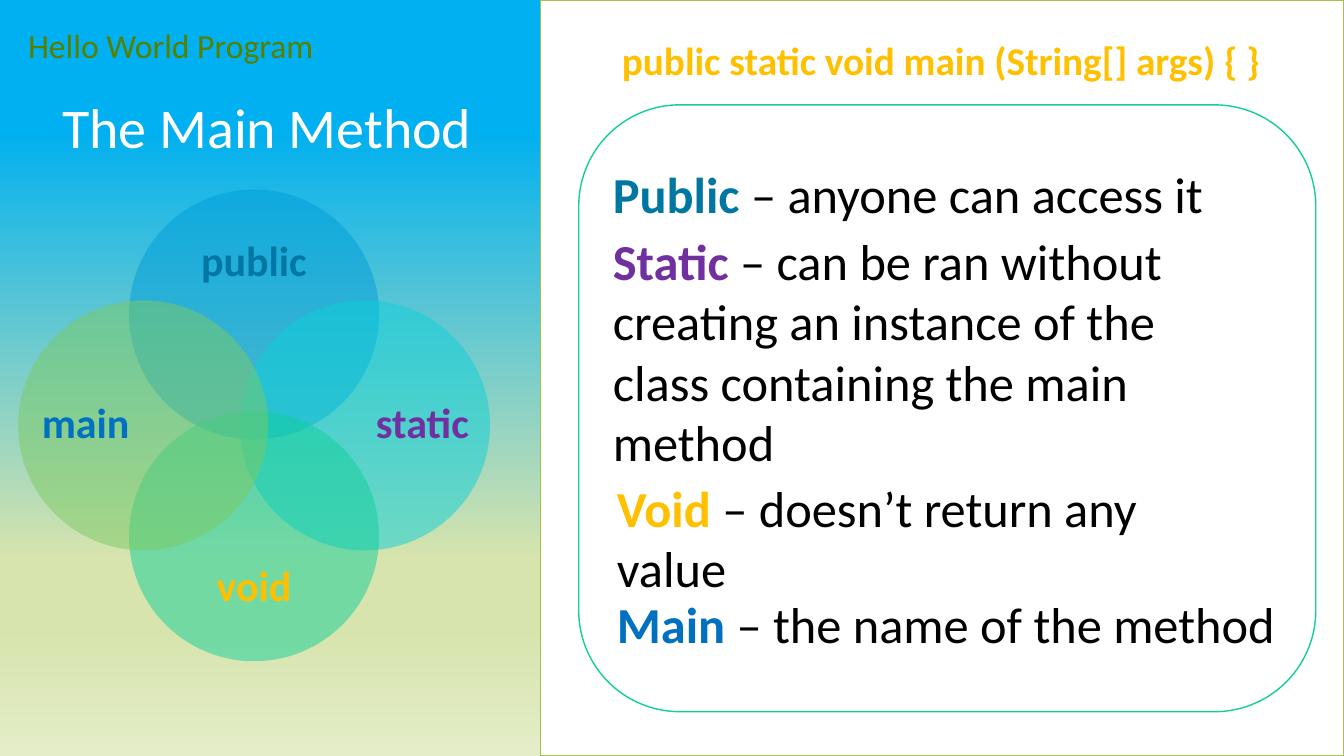
from lxml import etree
from pptx import Presentation
from pptx.dml.color import RGBColor
from pptx.enum import shapes, text
from pptx.oxml import parse_xml
from pptx.oxml.ns import nsdecls, qn
from pptx.util import Inches, Pt

COLORS = {
    "white": "FFFFFF", "black": "000000", "panel_line": "A5C249", "card_line": "10CF9B",
    "public": "0076A3", "static": "7030A0", "void": "FFC000", "main": "0070C0",
    "program": "578000", "blue": "009DD9", "cyan": "0BD0D9", "teal": "10CF9B",
    "green": "7CCA62", "sky": "00B0F0", "sand": "D7E4AD", "pale": "E4EDC8",
}
FONT = "Calibri"
BACKGROUND_STOPS = [(17, "sky"), (74, "sand"), (83, "sand"), (100, "pale")]

# preset, left, top, width, height, line colour
PANELS = [
    (shapes.MSO_SHAPE.RECTANGLE, 5.36, 0, 7.97, 7.5, "panel_line"),
    (shapes.MSO_SHAPE.ROUNDED_RECTANGLE, 5.74, 1.04, 7.31, 6.02, "card_line"),
]

# label, circle colour, direction from the centre
VENN = [
    ("public", "blue", (0, -1)),
    ("static", "cyan", (1, 0)),
    ("void", "teal", (0, 1)),
    ("main", "green", (-1, 0)),
]
VENN_CENTER = (2.52, 4.22)
DIAMETER, CIRCLE_OFFSET = 2.48, 1.1
LABEL_OFFSETS = (1.67, 1.61)
SIDE_LABEL, END_LABEL = (0.95, 1.91), (1.91, 0.79)

# box, size, runs of (text, colour, bold)
HEADINGS = [
    ((6.07, 0.31, 6.58, 0.57), 28,
     [("public static void main (String[] args) { }", "void", True)]),
    ((0.18, 0.2, 3.25, 0.5), 24, [("Hello World Program", "program", False)]),
]
DEFINITIONS = [
    ((5.98, 1.57, 6.45, 0.71), "Public", " – anyone can access it", "public"),
    ((5.98, 2.23, 6.45, 2.52), "Static",
     " – can be ran without creating an instance of the class containing the main method",
     "static"),
    ((6.02, 4.68, 6.45, 1.31), "Void ", "– doesn’t return any value", "void"),
    ((6.02, 5.83, 6.73, 0.71), "Main", " – the name of the method", "main"),
]


def rgb(name):
    return RGBColor.from_string(COLORS[name])


def apply(target, values):
    for name, value in values.items():
        setattr(target, name, value)


def add_shape(slide, preset, box, fill):
    shape = slide.shapes.add_shape(preset, *map(Inches, box))
    shape.shadow.inherit = False
    shape.fill.solid()
    shape.fill.fore_color.rgb = rgb(fill)
    return shape


def add_text(slide, box, size, runs, frame_format=None, paragraph_format=None):
    frame = slide.shapes.add_textbox(*map(Inches, box)).text_frame
    apply(frame, {"word_wrap": True, **(frame_format or {})})
    paragraph = frame.paragraphs[0]
    apply(paragraph, paragraph_format or {})
    for content, color, bold in runs:
        run = paragraph.add_run()
        run.text = content
        apply(run.font, {"name": FONT, "size": Pt(size), "bold": bold})
        run.font.color.rgb = rgb(color)
    return paragraph


def add_background(slide):
    stops = "".join(
        f'<a:gs pos="{position * 1000}"><a:srgbClr val="{COLORS[color]}"/></a:gs>'
        for position, color in BACKGROUND_STOPS)
    slide.element.cSld.insert(0, parse_xml(
        f'<p:bg {nsdecls("p", "a")}><p:bgPr><a:gradFill rotWithShape="1">'
        f'<a:gsLst>{stops}</a:gsLst><a:lin ang="5400000" scaled="0"/></a:gradFill>'
        '<a:effectLst/></p:bgPr></p:bg>'))


def add_venn(slide):
    for label, color, direction in VENN:
        # Circle
        left, top = (center + step * CIRCLE_OFFSET - DIAMETER / 2
                     for center, step in zip(VENN_CENTER, direction))
        circle = add_shape(slide, shapes.MSO_SHAPE.OVAL,
                           (left, top, DIAMETER, DIAMETER), color)
        circle.line.fill.background()
        fill_color = circle.element.spPr.find(qn("a:solidFill"))[0]
        etree.SubElement(fill_color, qn("a:alpha"), val="50000")

        # Label towards the outer edge
        size = SIDE_LABEL if direction[0] else END_LABEL
        corner = [center + step * offset - length / 2 for center, step, offset, length
                  in zip(VENN_CENTER, direction, LABEL_OFFSETS, size)]
        add_text(slide, (*corner, *size), 30, [(label, label, True)],
                 {"vertical_anchor": text.MSO_ANCHOR.MIDDLE, "margin_left": 0,
                  "margin_right": 0, "margin_top": 0, "margin_bottom": 0},
                 {"alignment": text.PP_ALIGN.CENTER, "line_spacing": 0.9})


def main():
    presentation = Presentation()
    apply(presentation, {"slide_width": Inches(13.33), "slide_height": Inches(7.5)})
    slide = presentation.slides.add_slide(presentation.slide_layouts[6])
    add_background(slide)

    # White panel and rounded card
    for preset, *box, line_color in PANELS:
        panel = add_shape(slide, preset, box, "white")
        panel.line.color.rgb = rgb(line_color)
        panel.line.width = Pt(1)

    add_venn(slide)

    # Title and headings
    add_text(slide, (0.52, 0.57, 4.33, 1.45), 40, [("The Main Method", "white", False)],
             {"vertical_anchor": text.MSO_ANCHOR.MIDDLE}, {"line_spacing": 0.9})
    for box, size, runs in HEADINGS:
        add_text(slide, box, size, runs)

    # Keyword definitions
    for box, keyword, meaning, color in DEFINITIONS:
        add_text(slide, box, 36, [(keyword, color, True), (meaning, "black", False)])

    presentation.save("out.pptx")


if __name__ == "__main__":
    main()
